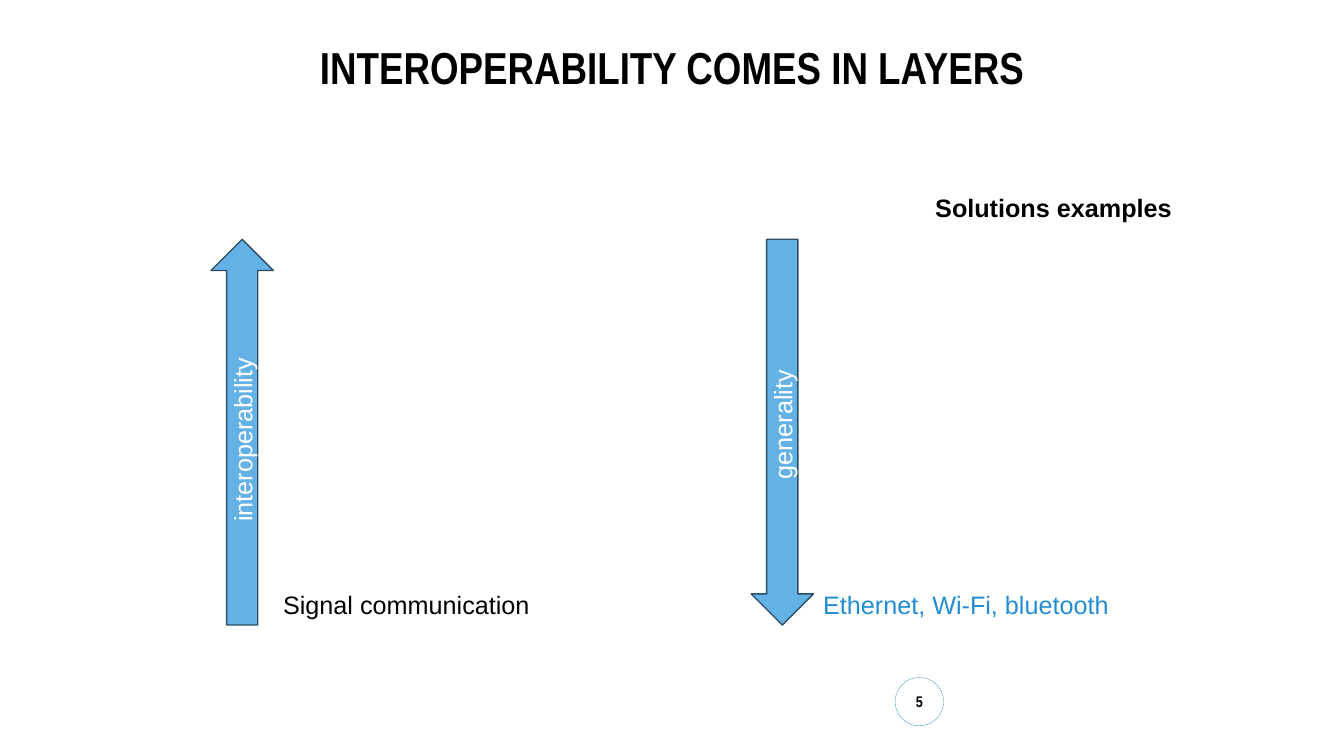
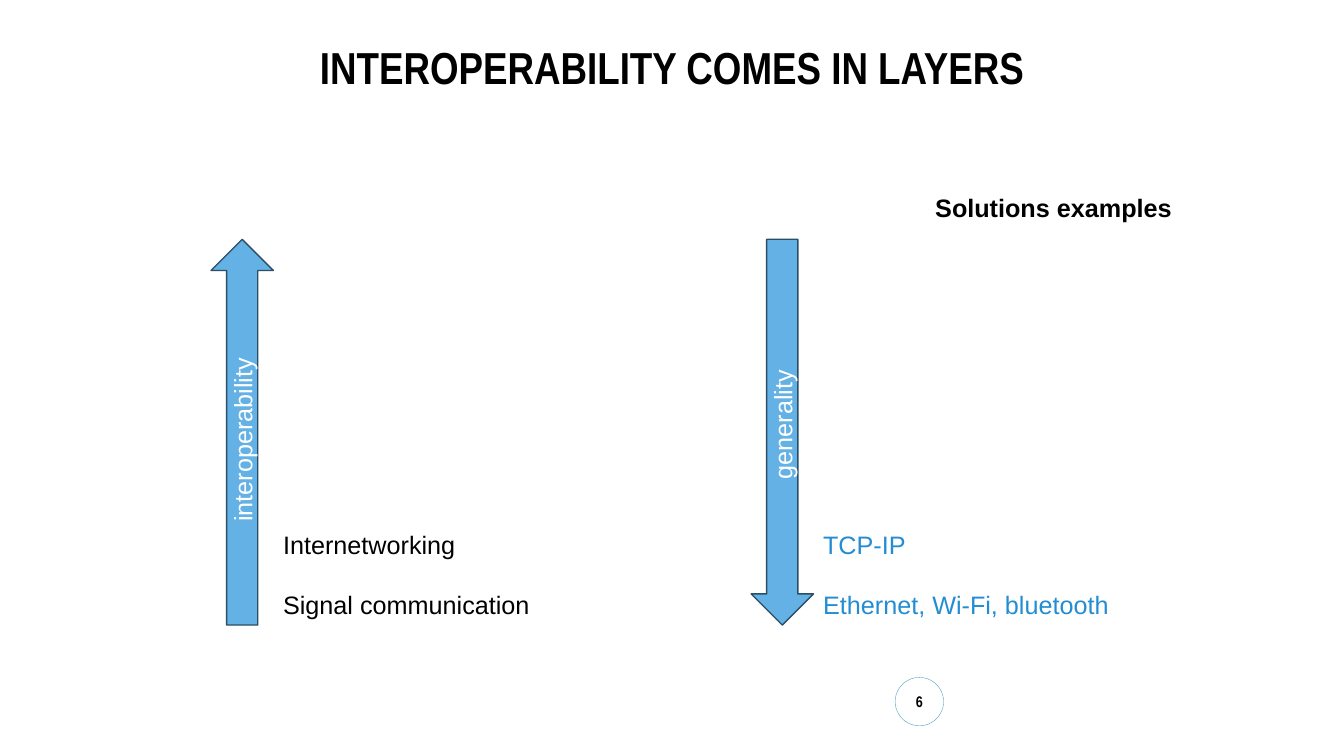
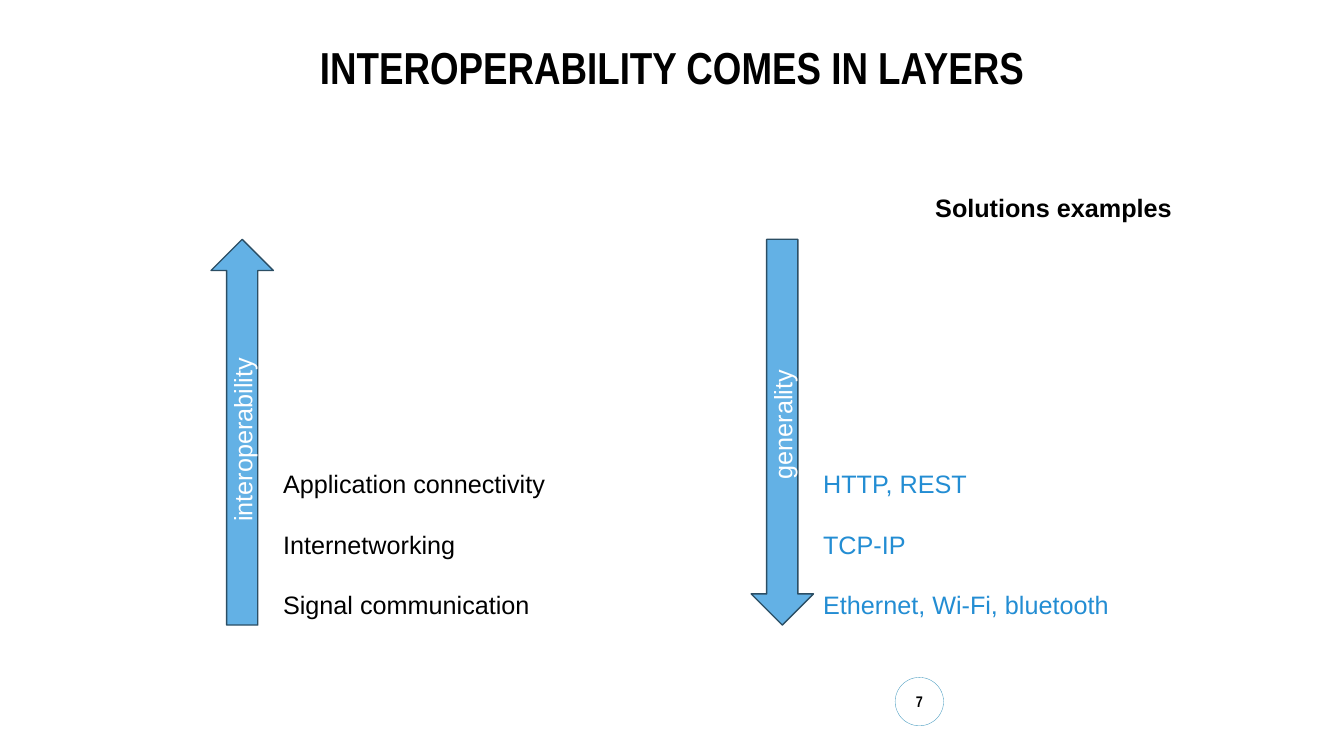
from lxml.etree import SubElement
from pptx import Presentation
from pptx.dml.color import RGBColor
from pptx.enum.shapes import MSO_SHAPE
from pptx.enum.text import MSO_ANCHOR, MSO_AUTO_SIZE, PP_ALIGN
from pptx.oxml.ns import qn
from pptx.util import Cm, Pt

COLORS = {
    "text": "000000",
    "example": "238DD3",
    "arrow": "63B1E5",
    "arrow_line": "2B4E64",
    "badge": "FFFFFF",
    "badge_line": "469BC0",
    "arrow_text": "FFFFFF",
}
FONTS = {
    "title": {"name": "Arial Narrow", "size": Pt(32), "bold": True},
    "badge": {"name": "Arial Narrow", "size": Pt(11), "bold": True},
    "heading": {"name": "Arial", "size": Pt(18), "bold": True},
    "body": {"name": "Arial", "size": Pt(18), "bold": False},
}
TITLE = "INTEROPERABILITY COMES IN LAYERS"
LAYERS = [
    ("Signal communication", "Ethernet, Wi-Fi, bluetooth"),
    ("Internetworking", "TCP-IP"),
    ("Application connectivity", "HTTP, REST"),
]
FIRST_NUMBER = 5
TITLE_BOX = (2.34, 1.02, 29.21, 3.68)
HEADING_BOX = (23.32, 4.72, 7, 1.02)
BADGE_BOX = (22.56, 17.07, 1.22, 1.22)
COLUMN_LEFT, COLUMN_TOP, COLUMN_PITCH = 5.32, 6.03, 13.61
COLUMN_WIDTH, COLUMN_HEIGHT = 9.7, 9.72
ARROW_WIDTH, LIST_OFFSET, LAYER_HEIGHT = 1.57, 1.56, 1.54


def apply(target, values):
    for name, value in values.items():
        setattr(target, name, value)


def place(shape, box):
    apply(shape, dict(zip(("left", "top", "width", "height"), map(Cm, box))))


def write(shape, text, font, color, anchor=MSO_ANCHOR.TOP, **paragraph_format):
    frame = shape.text_frame
    frame.text = text
    apply(frame, {"word_wrap": True, "auto_size": MSO_AUTO_SIZE.NONE,
                  "vertical_anchor": anchor})
    for paragraph in frame.paragraphs:
        apply(paragraph, paragraph_format)
        for run in paragraph.runs:
            apply(run.font, FONTS[font])
            run.font.color.rgb = RGBColor.from_string(COLORS[color])


def add_filled_shape(slide, preset, box, color, line_width):
    shape = slide.shapes.add_shape(preset, *map(Cm, box))
    shape.shadow.inherit = False
    shape.fill.solid()
    shape.fill.fore_color.rgb = RGBColor.from_string(COLORS[color])
    shape.line.color.rgb = RGBColor.from_string(COLORS[color + "_line"])
    shape.line.width = Pt(line_width)
    return shape


def add_vertical_arrow(slide, box, preset, label):
    left, top, width, height = box
    shift = (height - width) / 2
    arrow = add_filled_shape(
        slide, preset, (left - shift, top + shift, height, width), "arrow", 1)
    arrow.rotation = 270
    write(arrow, label, "body", "arrow_text", MSO_ANCHOR.MIDDLE,
          alignment=PP_ALIGN.CENTER)


def fill_layer_list(placeholder, box, items, color):
    left, top, width, height = box
    list_height = LAYER_HEIGHT * len(items)
    place(placeholder, (left, top + height - list_height, width, list_height))
    write(placeholder, "\n".join(items), "body", color, MSO_ANCHOR.BOTTOM,
          alignment=PP_ALIGN.LEFT, line_spacing=2.0, space_before=Pt(0))
    for paragraph in placeholder.text_frame.paragraphs:
        properties = paragraph._p.get_or_add_pPr()
        properties.set("marL", "0")
        properties.set("indent", "0")
        SubElement(properties, qn("a:buNone"))


def add_column(slide, box, placeholder, preset, label, items, color):
    left, top, width, height = box
    list_box = (left + LIST_OFFSET, top, width - LIST_OFFSET, height)
    fill_layer_list(placeholder, list_box, items, color)
    add_vertical_arrow(slide, (left, top, ARROW_WIDTH, height), preset, label)


def add_badge(slide, box, number):
    badge = add_filled_shape(slide, MSO_SHAPE.OVAL, box, "badge", 0.25)
    write(badge, str(number), "badge", "text", MSO_ANCHOR.MIDDLE,
          alignment=PP_ALIGN.CENTER)
    apply(badge.text_frame, {"margin_left": 0, "margin_right": 0})


def add_layers_slide(presentation, number, layers):
    slide = presentation.slides.add_slide(presentation.slide_layouts[3])
    title, *bodies = slide.placeholders
    place(title, TITLE_BOX)
    write(title, TITLE, "title", "text", alignment=PP_ALIGN.CENTER,
          line_spacing=0.9)
    add_badge(slide, BADGE_BOX, number)
    heading = slide.shapes.add_textbox(*map(Cm, HEADING_BOX))
    write(heading, "Solutions examples", "heading", "text")
    names, examples = zip(*reversed(layers))
    columns = [
        (MSO_SHAPE.RIGHT_ARROW, "interoperability", names, "text"),
        (MSO_SHAPE.LEFT_ARROW, "generality", examples, "example"),
    ]
    for index, (body, column) in enumerate(zip(bodies, columns)):
        box = (COLUMN_LEFT + index * COLUMN_PITCH, COLUMN_TOP,
               COLUMN_WIDTH, COLUMN_HEIGHT)
        add_column(slide, box, body, *column)


def main():
    presentation = Presentation()
    apply(presentation, {"slide_width": Cm(33.87), "slide_height": Cm(19.05)})
    for index in range(len(LAYERS)):
        add_layers_slide(presentation, FIRST_NUMBER + index, LAYERS[:index + 1])
    presentation.save("out.pptx")


if __name__ == "__main__":
    main()
